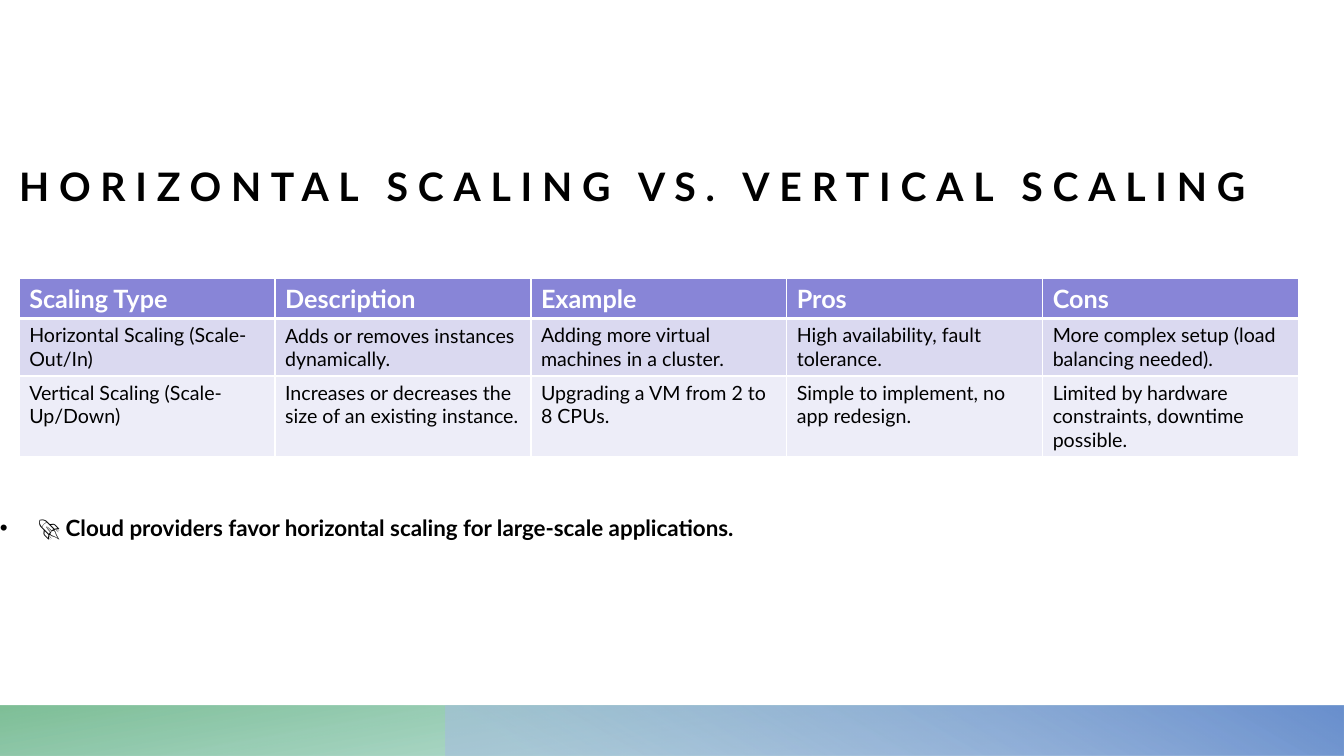
import pptx
import pptx.dml.color
import pptx.enum.shapes
import pptx.enum.text
import pptx.oxml
import pptx.oxml.ns
import pptx.util
import lxml.etree as et

inch, pt = pptx.util.Inches, pptx.util.Pt
anchor = pptx.enum.text.MSO_ANCHOR
ns = pptx.oxml.ns.nsdecls("a")
wide, high = 13.33, 7.5
edge = 0.19


def tint(code):
    return pptx.dml.color.RGBColor.from_string(code)


def write(frame, text, size=14, bold=False, ink="000000", place=anchor.TOP, pad=None, gap=0):
    frame.word_wrap = True
    frame.vertical_anchor = place
    if pad is not None:
        frame.margin_left = frame.margin_right = inch(pad)
        frame.margin_top = frame.margin_bottom = inch(pad)
    line = frame.paragraphs[0]
    run = line.add_run()
    run.text = text
    run.font.name, run.font.size, run.font.bold = "Lato", pt(size), bold
    run.font.color.rgb = tint(ink)
    if gap:
        run.font._element.set("spc", str(gap * 100))
    return line


deck = pptx.Presentation()
deck.slide_width, deck.slide_height = inch(wide), inch(high)
slide = deck.slides.add_slide(deck.slide_layouts[6])
shapes = slide.shapes

# Footer bands: left, turn, angle, stops of (position, colour, opacity) in percent
bands = [
    (0, 180, 100, [(14, "5DB4A2", 28), (100, "68B484", 85)]),
    (wide * 0.3315, 0, 240, [(9, "A6BCE2", 55), (99, "6A90CE", 100)]),
]
deep = high / 15
for left, turn, angle, stops in bands:
    band = shapes.add_shape(pptx.enum.shapes.MSO_SHAPE.RECTANGLE, inch(left),
                            inch(high - deep), inch(wide - left), inch(deep))
    band.shadow.inherit = False
    band.line.fill.background()
    band.rotation = turn
    props = band._element.spPr
    props.xfrm.set("flipH", "1")
    marks = "".join(
        f'<a:gs pos="{pos * 1000}"><a:srgbClr val="{code}">'
        f'<a:alpha val="{solid * 1000}"/></a:srgbClr></a:gs>'
        for pos, code, solid in stops)
    props.insert(2, pptx.oxml.parse_xml(
        f'<a:gradFill {ns} rotWithShape="1"><a:gsLst>{marks}</a:gsLst>'
        f'<a:lin ang="{angle * 60000}" scaled="0"/></a:gradFill>'))

# Title
head = shapes.add_textbox(inch(edge), inch(0.01), inch(wide - edge), inch(2.07))
write(head.text_frame, "HORIZONTAL SCALING VS. VERTICAL SCALING", size=28,
      bold=True, place=anchor.BOTTOM, pad=0, gap=7)

# Comparison table
rows = [
    ["Scaling Type", "Description", "Example", "Pros", "Cons"],
    ["Horizontal Scaling (Scale-Out/In)", "Adds or removes instances dynamically.",
     "Adding more virtual machines in a cluster.", "High availability, fault tolerance.",
     "More complex setup (load balancing needed)."],
    ["Vertical Scaling (Scale-Up/Down)",
     "Increases or decreases the size of an existing instance.",
     "Upgrading a VM from 2 to 8 CPUs.", "Simple to implement, no app redesign.",
     "Limited by hardware constraints, downtime possible."],
]
fills = ["8885D7", "DAD9F0", "EDEDF8"]
talls = [0.4, 0.57, 0.8]
grid = shapes.add_table(len(rows), len(rows[0]), inch(edge), inch(2.76),
                        inch(12.69), inch(sum(talls))).table
for r, texts in enumerate(rows):
    grid.rows[r].height = inch(talls[r])
    top = r == 0
    for c, text in enumerate(texts):
        cell = grid.cell(r, c)
        cell.fill.solid()
        cell.fill.fore_color.rgb = tint(fills[r])
        write(cell.text_frame, text, size=18 if top else 14, bold=top,
              ink="FFFFFF" if top else "000000")
        if (r, c) == (1, 1):
            cell.vertical_anchor = anchor.MIDDLE
        # White rules, thicker between header and body
        for n, side in enumerate("LRTB"):
            thick = 3 if (r, side) in [(0, "B"), (1, "T")] else 1
            cell._tc.tcPr.insert(n, pptx.oxml.parse_xml(
                f'<a:ln{side} {ns} w="{pt(thick)}"><a:solidFill>'
                f'<a:srgbClr val="FFFFFF"/></a:solidFill></a:ln{side}>'))

# Closing bullet
note = shapes.add_textbox(0, inch(5.1), inch(wide), inch(0.4))
line = write(note.text_frame,
             "🚀 Cloud providers favor horizontal scaling for large-scale applications.",
             size=16, bold=True, pad=0)
form = line._p.get_or_add_pPr()
form.set("marL", str(inch(0.38)))
form.set("indent", str(-inch(0.38)))
et.SubElement(form, pptx.oxml.ns.qn("a:buFont")).set("typeface", "Arial")
et.SubElement(form, pptx.oxml.ns.qn("a:buChar")).set("char", "•")

deck.save("out.pptx")
